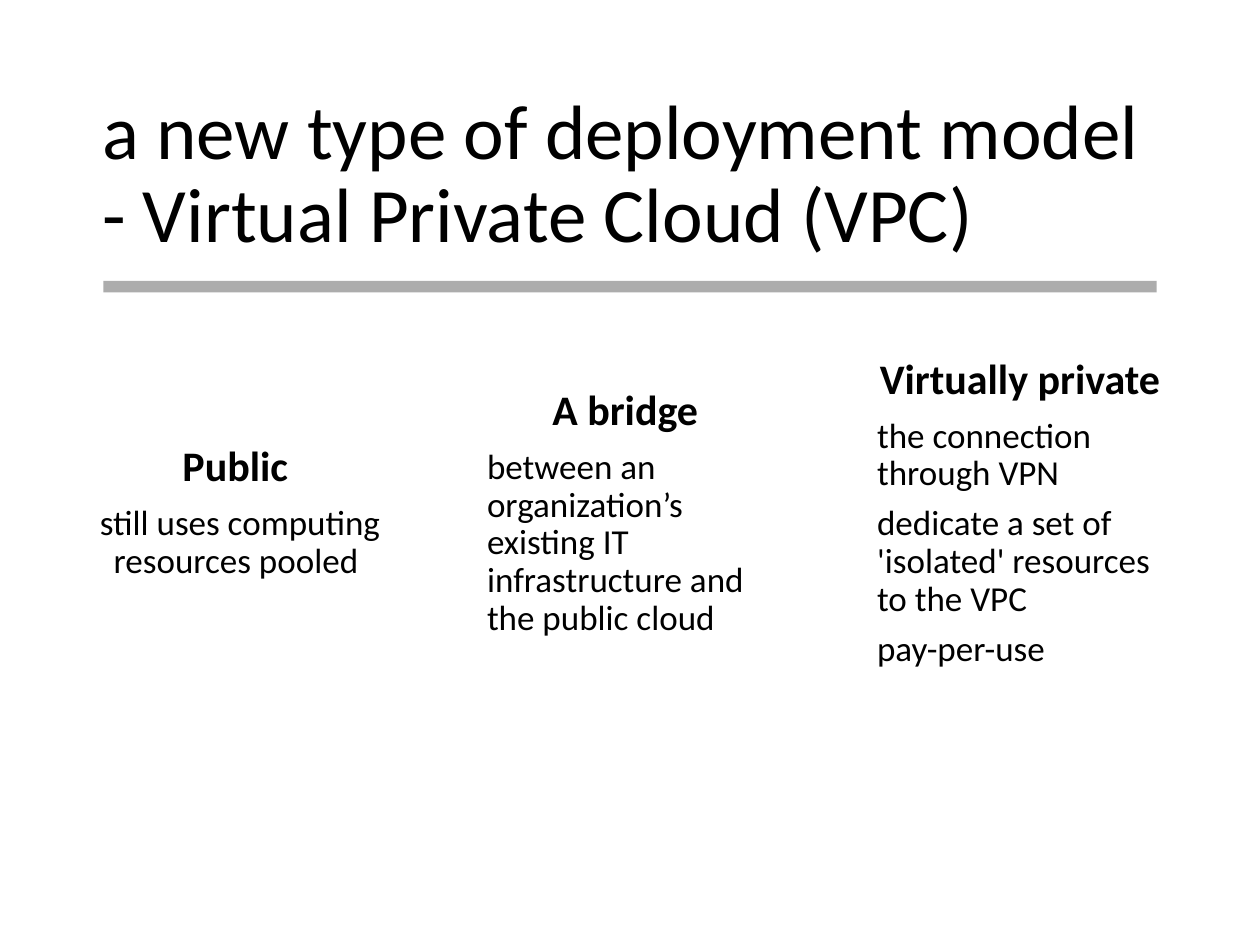
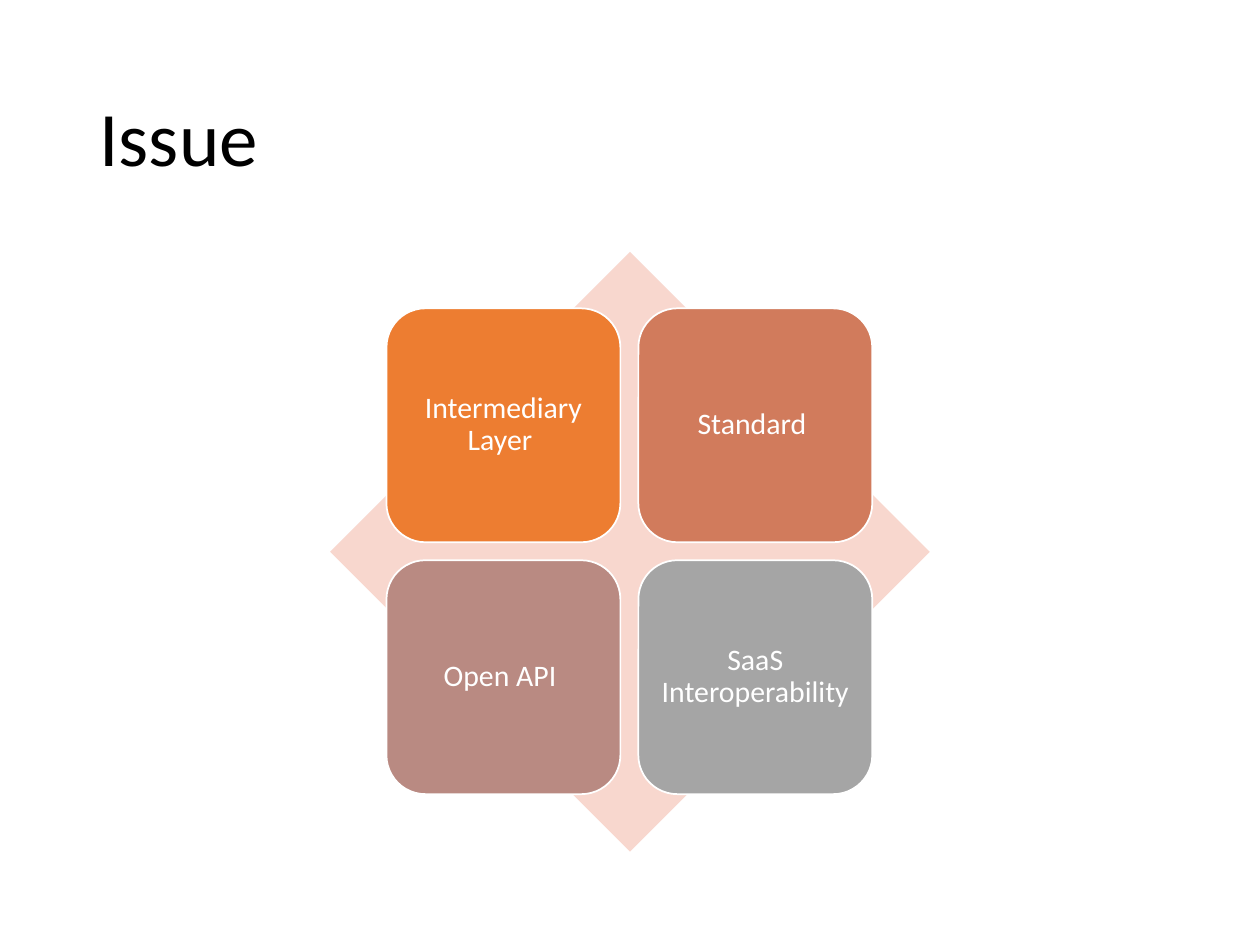
"""Build two slides: the Virtual Private Cloud model and its open issues."""
from lxml import etree
from pptx import Presentation
from pptx.dml.color import RGBColor
from pptx.enum.shapes import MSO_SHAPE as SHAPE
from pptx.enum.text import MSO_ANCHOR as ANCHOR, PP_ALIGN as ALIGN
from pptx.oxml.ns import qn
from pptx.util import Inches, Pt

rgb = RGBColor.from_string
FONT, BLACK, WHITE = "Calibri", "000000", "FFFFFF"
W, H = 10, 7.5


def write(tf, text, size=20, color=BLACK, bold=False, align=ALIGN.LEFT, after=0.35, inset=None):
    """Fill the empty first paragraph of a frame, or add one, with formatted text."""
    p = tf.paragraphs[0] if not tf.text else tf.add_paragraph()
    p.alignment, p.line_spacing = align, 0.9
    p.space_before, p.space_after = Pt(0), Pt(size * after)
    r = p.add_run()
    r.text = text
    r.font.name, r.font.size, r.font.bold = FONT, Pt(size), bold
    r.font.color.rgb = rgb(color)
    tf.word_wrap, tf.vertical_anchor = True, ANCHOR.MIDDLE
    if inset:
        tf.margin_left = tf.margin_right = tf.margin_top = tf.margin_bottom = Inches(inset)


def add_block(shapes, kind, x, y, w, h, fill, line=None):
    """Add a flat preset shape with a solid fill and an optional outline."""
    s = shapes.add_shape(kind, Inches(x), Inches(y), Inches(w), Inches(h))
    s.shadow.inherit = False
    s.fill.solid()
    s.fill.fore_color.rgb = rgb(fill)
    if line:
        s.line.color.rgb, s.line.width = rgb(line), Pt(1)
    else:
        s.line.fill.background()
    return s


prs = Presentation()
prs.slide_width, prs.slide_height = Inches(W), Inches(H)

titles = [
    ("a new type of deployment model - Virtual Private Cloud (VPC)", 0.71, 0.67),
    ("Issue", 0.69, 0.4),
]
for text, left, top in titles:
    title = prs.slides.add_slide(prs.slide_layouts[5]).shapes.title
    title.left, title.top = Inches(left), Inches(top)
    title.width, title.height = Inches(W - 2 * left), Inches(1.45)
    write(title.text_frame, text, size=44, after=0)
vpc, issue = prs.slides

margin = 0.82
rule = add_block(vpc.shapes, SHAPE.RECTANGLE, margin, 2.23, W - 2 * margin, 0.09, "808080")
color = rule.fill.fore_color._xFill.find(qn("a:srgbClr"))
etree.SubElement(color, qn("a:alpha"), val="65000")

columns = [
    ("Public ", ALIGN.CENTER, ["still uses computing resources pooled "]),
    ("A bridge ", ALIGN.LEFT, [
        "between an organization’s existing IT infrastructure and the public cloud"]),
    ("Virtually private ", ALIGN.LEFT, [
        "the connection through VPN",
        "dedicate a set of 'isolated' resources to the VPC",
        "pay-per-use"]),
]
col_w, col_h = 2.61, 2.95
col_step = col_w * 1.186
for i, (heading, align, lines) in enumerate(columns):
    panel = add_block(vpc.shapes, SHAPE.RECTANGLE, 0.6 + i * col_step, 2.6, col_w, col_h, WHITE)
    tf = panel.text_frame
    write(tf, heading, size=24, bold=True, align=ALIGN.CENTER, inset=0.17)
    for line in lines:
        write(tf, line, align=align)

side = 4.76
left, top = (W - side) / 2, 2
add_block(issue.shapes, SHAPE.DIAMOND, left, top, side, side, "F8D7CE")

tiles = [
    ("Intermediary Layer ", "ED7D31"),
    ("Standard ", "D17B5C"),
    ("Open API ", "B98A82"),
    ("SaaS Interoperability ", "A5A5A5"),
]
tile, step, edge = side * 0.39, side * 0.42, side * 0.094
for i, (text, fill) in enumerate(tiles):
    row, col = divmod(i, 2)
    s = add_block(issue.shapes, SHAPE.ROUNDED_RECTANGLE, left + edge + col * step,
                  top + edge + row * step, tile, tile, fill, line=WHITE)
    write(s.text_frame, text, size=17, color=WHITE, align=ALIGN.CENTER, inset=0.07)

prs.save("out.pptx")
